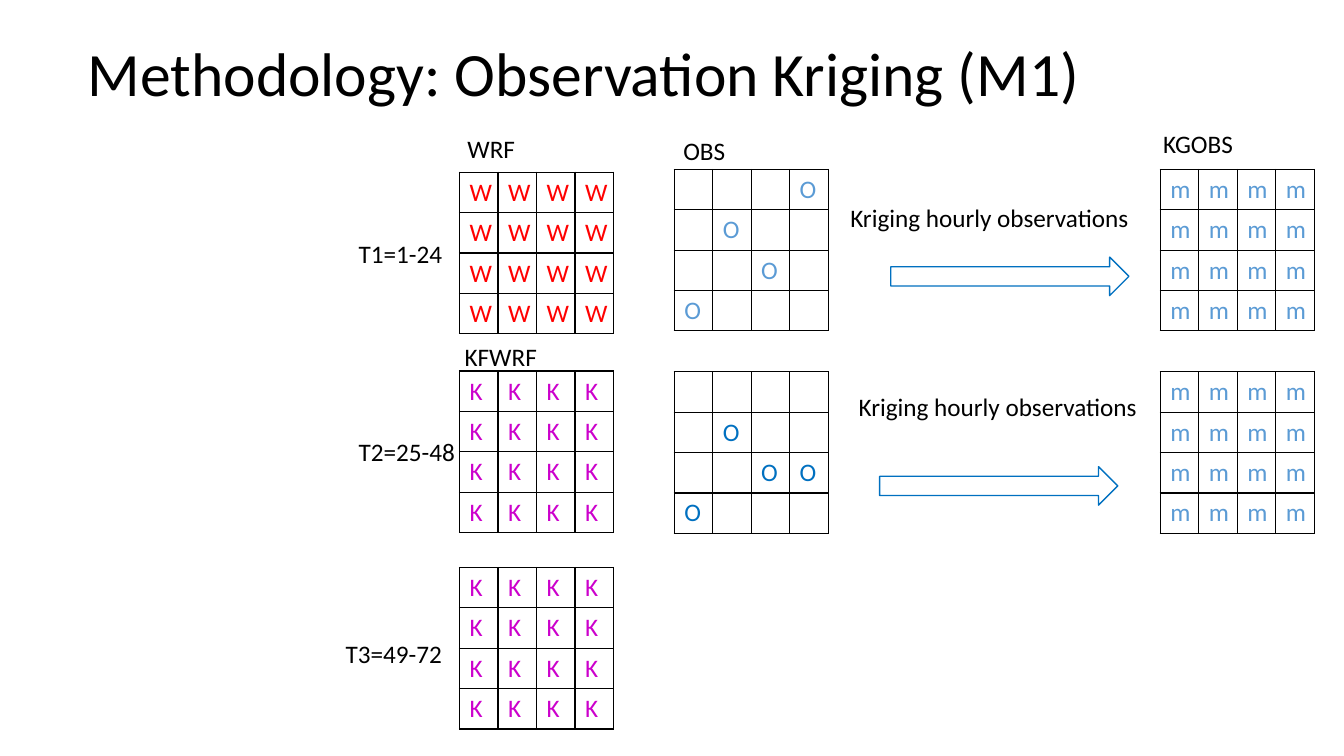
from lxml import etree
from pptx import Presentation
from pptx.dml.color import RGBColor
from pptx.enum import shapes, text
from pptx.oxml import ns
from pptx.util import Cm, Pt

BLACK = RGBColor(0x00, 0x00, 0x00)
RED = RGBColor(0xFF, 0x00, 0x00)
PURPLE = RGBColor(0xCC, 0x00, 0xCC)
LIGHT_BLUE = RGBColor(0x5B, 0x9B, 0xD5)
BLUE = RGBColor(0x00, 0x70, 0xC0)
FONT = "Calibri"
GRID_SIZE = 4
COLUMN_WIDTH = 0.97
ROW_HEIGHT = 1.0
MODEL_X, OBS_X, KRIGED_X = 11.58, 16.99, 29.24


def add_run(paragraph, wording, color=BLACK, size=18):
    """Add one formatted run to a paragraph."""
    run = paragraph.add_run()
    run.text = wording
    run.font.name = FONT
    run.font.size = Pt(size)
    run.font.color.rgb = color


def add_label(slide, wording, left, top, width, wrap=True):
    """Add a one-line black label."""
    frame = slide.shapes.add_textbox(Cm(left), Cm(top), Cm(width), Cm(1.02)).text_frame
    frame.word_wrap = wrap
    frame.auto_size = text.MSO_AUTO_SIZE.SHAPE_TO_FIT_TEXT
    add_run(frame.paragraphs[0], wording)


def add_title(slide, wording):
    """Add the slide heading."""
    frame = slide.shapes.add_textbox(Cm(1.96), Cm(0.1), Cm(29.21), Cm(3.68)).text_frame
    frame.word_wrap = True
    frame.vertical_anchor = text.MSO_ANCHOR.MIDDLE
    frame.paragraphs[0].line_spacing = 0.9
    add_run(frame.paragraphs[0], wording, size=44)


def add_borders(cell):
    """Draw a thin black line on each side of a cell."""
    properties = cell._tc.get_or_add_tcPr()
    for side in ("a:lnL", "a:lnR", "a:lnT", "a:lnB"):
        line = etree.SubElement(properties, ns.qn(side), w=str(Pt(1)))
        fill = etree.SubElement(line, ns.qn("a:solidFill"))
        etree.SubElement(fill, ns.qn("a:srgbClr"), val=str(BLACK))


def add_grid(slide, rows, left, top, color):
    """Add a square grid of letters; a dot in rows stands for an empty cell."""
    table = slide.shapes.add_table(
        GRID_SIZE, GRID_SIZE, Cm(left), Cm(top),
        Cm(GRID_SIZE * COLUMN_WIDTH), Cm(GRID_SIZE * ROW_HEIGHT)).table
    table.first_row = False
    table.horz_banding = False
    for column in table.columns:
        column.width = Cm(COLUMN_WIDTH)
    for row, letters in zip(table.rows, rows):
        row.height = Cm(ROW_HEIGHT)
        for cell, letter in zip(row.cells, letters):
            add_borders(cell)
            cell.fill.background()
            if letter != ".":
                add_run(cell.text_frame.paragraphs[0], letter, color)


def add_arrow(slide, left, top):
    """Add an outlined arrow pointing right."""
    arrow = slide.shapes.add_shape(
        shapes.MSO_SHAPE.RIGHT_ARROW, Cm(left), Cm(top), Cm(6), Cm(0.97))
    arrow.shadow.inherit = False
    arrow.fill.background()
    arrow.line.color.rgb = BLUE
    arrow.line.width = Pt(1)


def main():
    """Build and save the slide."""
    deck = Presentation()
    deck.slide_width, deck.slide_height = Cm(33.87), Cm(19.05)
    slide = deck.slides.add_slide(deck.slide_layouts[6])

    add_title(slide, "Methodology: Observation Kriging (M1)")

    for wording, left, top, width in (
            ("T1=1-24", 8.79, 5.87, 3.02),
            ("T2=25-48", 8.79, 10.87, 3.33),
            ("T3=49-72", 8.46, 15.95, 3.0),
            ("WRF", 11.53, 3.23, 2.72),
            ("OBS", 16.97, 3.28, 2.72),
            ("KGOBS", 29.06, 3.1, 2.72),
            ("KFWRF", 11.46, 8.48, 2.72)):
        add_label(slide, wording, left, top, width)

    for rows, left, top, color in (
            (["WWWW"] * GRID_SIZE, MODEL_X, 4.34, RED),
            (["KKKK"] * GRID_SIZE, MODEL_X, 9.35, PURPLE),
            (["KKKK"] * GRID_SIZE, MODEL_X, 14.3, PURPLE),
            (["...O", ".O..", "..O.", "O..."], OBS_X, 4.27, LIGHT_BLUE),
            (["....", ".O..", "..OO", "O..."], OBS_X, 9.37, BLUE),
            (["mmmm"] * GRID_SIZE, KRIGED_X, 4.27, LIGHT_BLUE),
            (["mmmm"] * GRID_SIZE, KRIGED_X, 9.37, LIGHT_BLUE)):
        add_grid(slide, rows, left, top, color)

    for label_x, label_y, arrow_x, arrow_y in (
            (21.18, 4.98, 22.45, 6.48),
            (21.39, 9.73, 22.17, 11.76)):
        add_label(slide, "Kriging hourly observations", label_x, label_y, 7.59, wrap=False)
        add_arrow(slide, arrow_x, arrow_y)

    deck.save("out.pptx")


if __name__ == "__main__":
    main()
